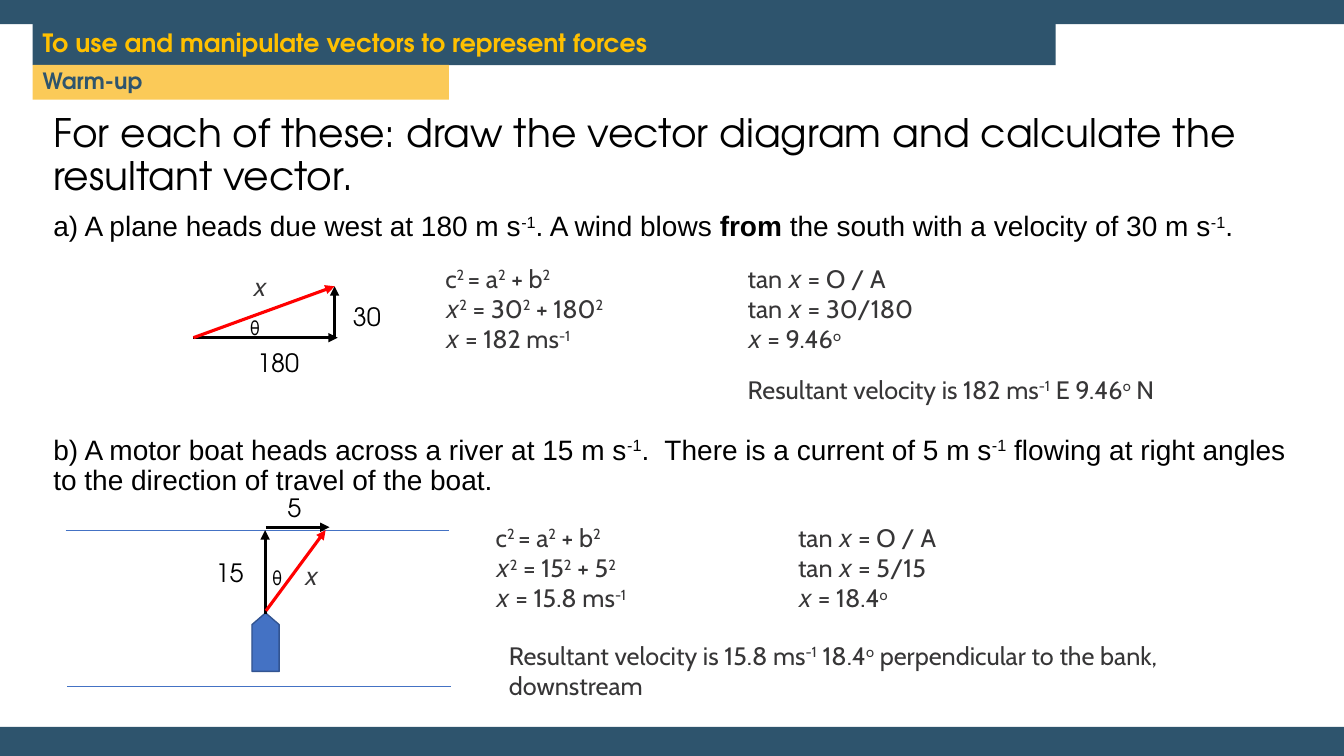
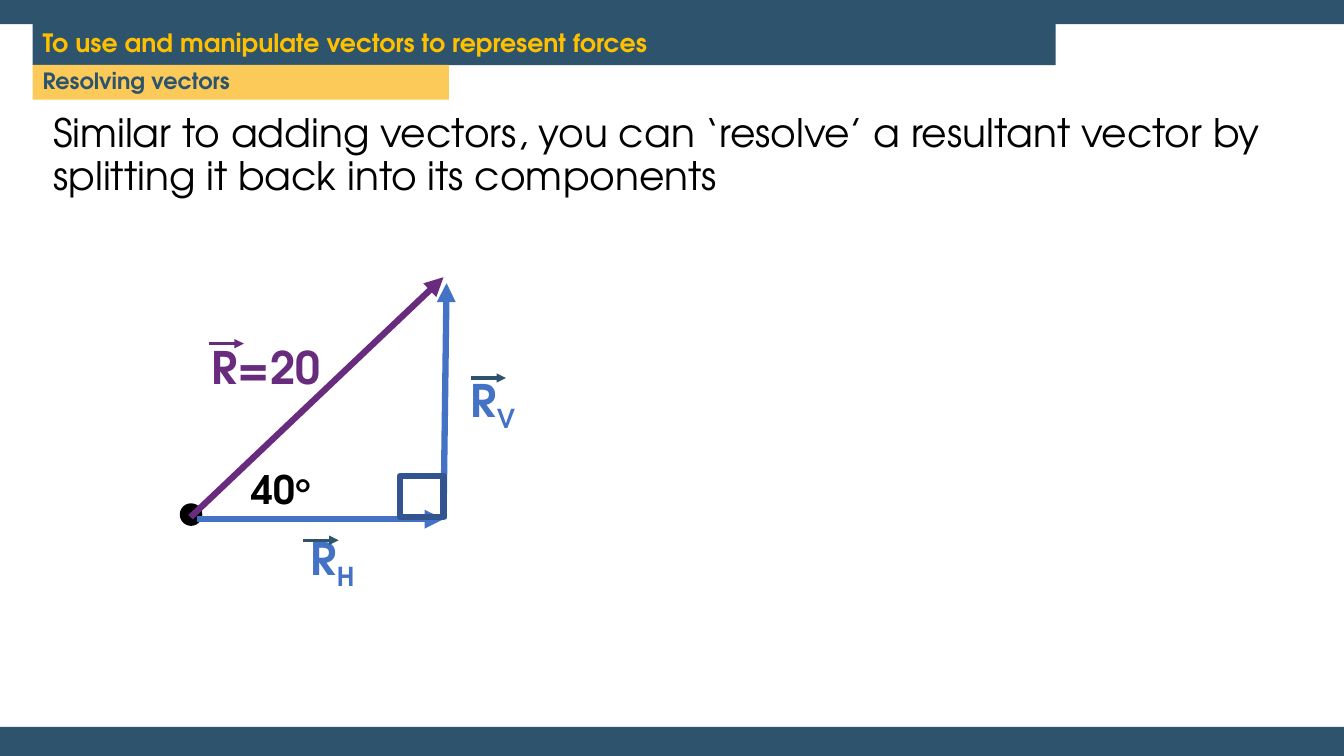
"""Builds two slides on adding and resolving force vectors."""
from lxml.etree import SubElement
from pptx import Presentation
from pptx.dml.color import RGBColor
from pptx.enum.shapes import MSO_CONNECTOR, MSO_SHAPE
from pptx.enum.text import MSO_ANCHOR, PP_ALIGN
from pptx.oxml.ns import qn
from pptx.util import Pt

NAVY = RGBColor(0x2E, 0x54, 0x6D)
GOLD = RGBColor(0xFF, 0xC0, 0x00)
SAND = RGBColor(0xFB, 0xCA, 0x58)
WHITE = RGBColor(0xFF, 0xFF, 0xFF)
BLACK = RGBColor(0, 0, 0)
GREY = RGBColor(0x37, 0x36, 0x37)
RED = RGBColor(0xFF, 0, 0)
BLUE = RGBColor(0x44, 0x72, 0xC4)
DEEP = RGBColor(0x32, 0x54, 0x91)
PLUM = RGBColor(0x69, 0x2B, 0x7D)
HEAD, BODY, MATH = "TeX Gyre Adventor", "Arial", "Cabin"
WIDE, HIGH = 960, 540

TITLE = "To use and manipulate vectors to represent forces"
TOPICS = ["Warm-up", "Resolving vectors"]
TASK = "For each of these: draw the vector diagram and calculate the resultant vector."
PLANE = "a) A plane heads due west at 180 m s^-1^. A wind blows *from* the south with a velocity of 30 m s^-1^."
BOAT = ("b) A motor boat heads across a river at 15 m s^-1^.  There is a current of 5 m s^-1^"
        " flowing at right angles to the direction of travel of the boat.")
IDEA = ("Similar to adding vectors, you can ‘resolve’ a resultant vector by "
        "splitting it back into its components")

WORK = [
    (311, 184.3, ["c^2 ^= a^2^ + b^2^", "𝑥^2^ = 30^2^ + 180^2^", "𝑥 = 182 ms^-1^"],
     ["tan 𝑥 = O / A", "tan 𝑥 = 30/180", "𝑥 = 9.46^o^"]),
    (347, 369.4, ["c^2 ^= a^2^ + b^2^", "𝑥^2^ = 15^2^ + 5^2^", "𝑥 = 15.8 ms^-1^"],
     ["tan 𝑥 = O / A", "tan 𝑥 = 5/15", "𝑥 = 18.4^o^"]),
]
RESULTS = [
    (527, 263.5, 420, 29, "Resultant velocity is 182 ms^-1^ E 9.46^o^ N"),
    (356.4, 453.6, 480, 51,
     "Resultant velocity is 15.8 ms^-1^ 18.4^o^ perpendicular to the bank, downstream"),
]
SIDES = [
    ("180", 175.7, 247), ("30", 239, 214.6), ("𝑥", 162.7, 193),
    ("15", 141, 397.4), ("5", 187.2, 350.6), ("𝑥", 199.4, 399.6),
]
ANGLES = [(175.7, 226.8), (191.6, 405.4)]
BANKS = [(46.8, 378.7), (48.2, 490.3)]
ARROWS = [
    (138.2, 241.2, 241.2, 241.2, BLACK), (239, 241.2, 239, 204.5, BLACK),
    (138.2, 241.2, 239, 204.5, RED), (189.4, 438.5, 189.4, 378.7, BLACK),
    (190, 376.6, 235.4, 376.6, BLACK), (190, 436.3, 232.6, 378.7, RED),
]
FORCES = [
    (316.8, 370.8, 319, 202.3, BLUE), (140.4, 370.8, 316.8, 370.8, BLUE),
    (136.1, 369.4, 316.8, 198, PLUM),
]
NAMES = [
    ("R_V_", 316.1, 252, 72, BLUE), ("R_H_", 201.6, 365, 72, BLUE),
    ("R=20", 26.6, 226.1, 326.9, PLUM),
]
MARKS = [(336.2, 270, NAVY), (216.7, 385.9, NAVY), (149, 245.5, PLUM)]


def add_runs(para, text, size, face, color, bold=False):
    """Add runs; ^ marks raised, _ lowered and * bold parts."""
    state = {"^": False, "_": False, "*": bold}
    bits = [""]
    for char in text:
        if char in state:
            bits += [char, ""]
        else:
            bits[-1] += char
    for bit in bits:
        if bit in state:
            state[bit] = not state[bit]
        elif bit:
            run = para.add_run()
            run.text = bit
            font = run.font
            font.size, font.name, font.bold = Pt(size), face, state["*"]
            font.color.rgb = color
            shift = 30000 if state["^"] else -25000 if state["_"] else 0
            if shift:
                font._element.set("baseline", str(shift))


def write(shape, lines, mid=False, center=False, tight=False, wrap=True):
    """Fill a shape with lines of (text, size, face, color, bold)."""
    frame = shape.text_frame
    frame.word_wrap = wrap
    frame.vertical_anchor = MSO_ANCHOR.MIDDLE if mid else MSO_ANCHOR.TOP
    for i, line in enumerate(lines):
        para = frame.paragraphs[0] if i == 0 else frame.add_paragraph()
        para.alignment = PP_ALIGN.CENTER if center else PP_ALIGN.LEFT
        if tight:
            para.line_spacing = 0.9
            if i:
                para.space_before = Pt(10)
        add_runs(para, *line)
    return frame


def add_text(slide, x, y, w, h, lines, **style):
    """Add a text box."""
    box = slide.shapes.add_textbox(Pt(x), Pt(y), Pt(w), Pt(h))
    return write(box, lines, **style)


def add_box(slide, x, y, w, h, fill=None, line=None, thick=1, kind=MSO_SHAPE.RECTANGLE):
    """Add a preset shape with plain fill and line."""
    box = slide.shapes.add_shape(kind, Pt(x), Pt(y), Pt(w), Pt(h))
    box.shadow.inherit = False
    if fill is None:
        box.fill.background()
    else:
        box.fill.solid()
        box.fill.fore_color.rgb = fill
    if line is None:
        box.line.fill.background()
    else:
        box.line.color.rgb = line
        box.line.width = Pt(thick)
    return box


def add_line(slide, x1, y1, x2, y2, color, thick=2.25, tip=True):
    """Add a straight line, with an arrowhead if asked."""
    line = slide.shapes.add_connector(MSO_CONNECTOR.STRAIGHT, Pt(x1), Pt(y1), Pt(x2), Pt(y2))
    line.line.color.rgb = color
    line.line.width = Pt(thick)
    if tip:
        SubElement(line.line._get_or_add_ln(), qn("a:tailEnd"), type="triangle")
    SubElement(line._element.spPr, qn("a:effectLst"))


def add_slide(deck, topic):
    """Add a slide with the shared bands, title and topic."""
    slide = deck.slides.add_slide(deck.slide_layouts[6])
    slide.background.fill.solid()
    slide.background.fill.fore_color.rgb = WHITE
    add_box(slide, 0, 0, WIDE, 17.3, NAVY)
    add_box(slide, 0, 519.1, WIDE, HIGH - 519.1, NAVY)
    band = add_box(slide, 23.3, 17.3, 730.8, 29.2, NAVY)
    write(band, [(TITLE, 18, HEAD, GOLD, True)], mid=True, tight=True)
    tab = add_box(slide, 23.3, 46.4, 297.4, 24.9, SAND)
    write(tab, [(topic, 16, HEAD, NAVY, True)], tight=True)
    return slide


def warm_up(deck):
    """Build the slide of worked questions."""
    slide = add_slide(deck, TOPICS[0])
    add_text(slide, 31, 77.8, 908.6, 100,
             [(TASK, 28, HEAD, BLACK), (PLANE, 20, BODY, BLACK)], tight=True)
    add_text(slide, 31, 308, 908.6, 52, [(BOAT, 20, BODY, BLACK)], tight=True)
    for x, y, *cols in WORK:
        for i, col in enumerate(cols):
            add_text(slide, x + 216 * i, y, 216, 93, [(t, 18, MATH, GREY) for t in col])
    for x, y, w, h, text in RESULTS:
        add_text(slide, x, y, w, h, [(text, 18, MATH, GREY)])
    for x, y in BANKS:
        add_line(slide, x, y, x + 274, y, BLUE, 0.5, False)
    boat = add_box(slide, 180, 437.8, 19.4, 41.8, BLUE, DEEP,
                   kind=MSO_SHAPE.FLOWCHART_OFFPAGE_CONNECTOR)
    boat.rotation = 180
    for arrow in ARROWS:
        add_line(slide, *arrow)
    for text, x, y in SIDES:
        style = (MATH, GREY) if text == "𝑥" else (HEAD, BLACK)
        add_text(slide, x, y, 46, 23, [(text, 18, *style)], mid=True, center=True)
    for x, y in ANGLES:
        frame = add_text(slide, x, y, 13, 15, [("θ", 14, HEAD, BLACK)], mid=True, center=True)
        frame.margin_left = frame.margin_right = frame.margin_top = frame.margin_bottom = 0


def resolve(deck):
    """Build the slide of a vector and its components."""
    slide = add_slide(deck, TOPICS[1])
    add_text(slide, 31, 77.8, 908.6, 155.5, [(IDEA, 28, HEAD, BLACK)], tight=True)
    add_box(slide, 128.9, 360, 15.1, 15.1, BLACK, BLACK, kind=MSO_SHAPE.OVAL)
    for force in FORCES:
        add_line(slide, *force, 4.5)
    add_box(slide, 285.8, 339.8, 31, 29.5, line=DEEP, thick=4.5)
    add_text(slide, 172.8, 329, 107.3, 72, [("40^o^", 28, HEAD, BLACK, True)], wrap=False)
    for text, x, y, w, color in NAMES:
        add_text(slide, x, y, w, 72, [(text, 32, HEAD, color, True)], mid=True, center=True)
    for x, y, color in MARKS:
        add_line(slide, x, y, x + 25.2, y, color)


def main():
    """Build and save the deck."""
    deck = Presentation()
    deck.slide_width, deck.slide_height = Pt(WIDE), Pt(HIGH)
    warm_up(deck)
    resolve(deck)
    deck.save("out.pptx")


if __name__ == "__main__":
    main()
